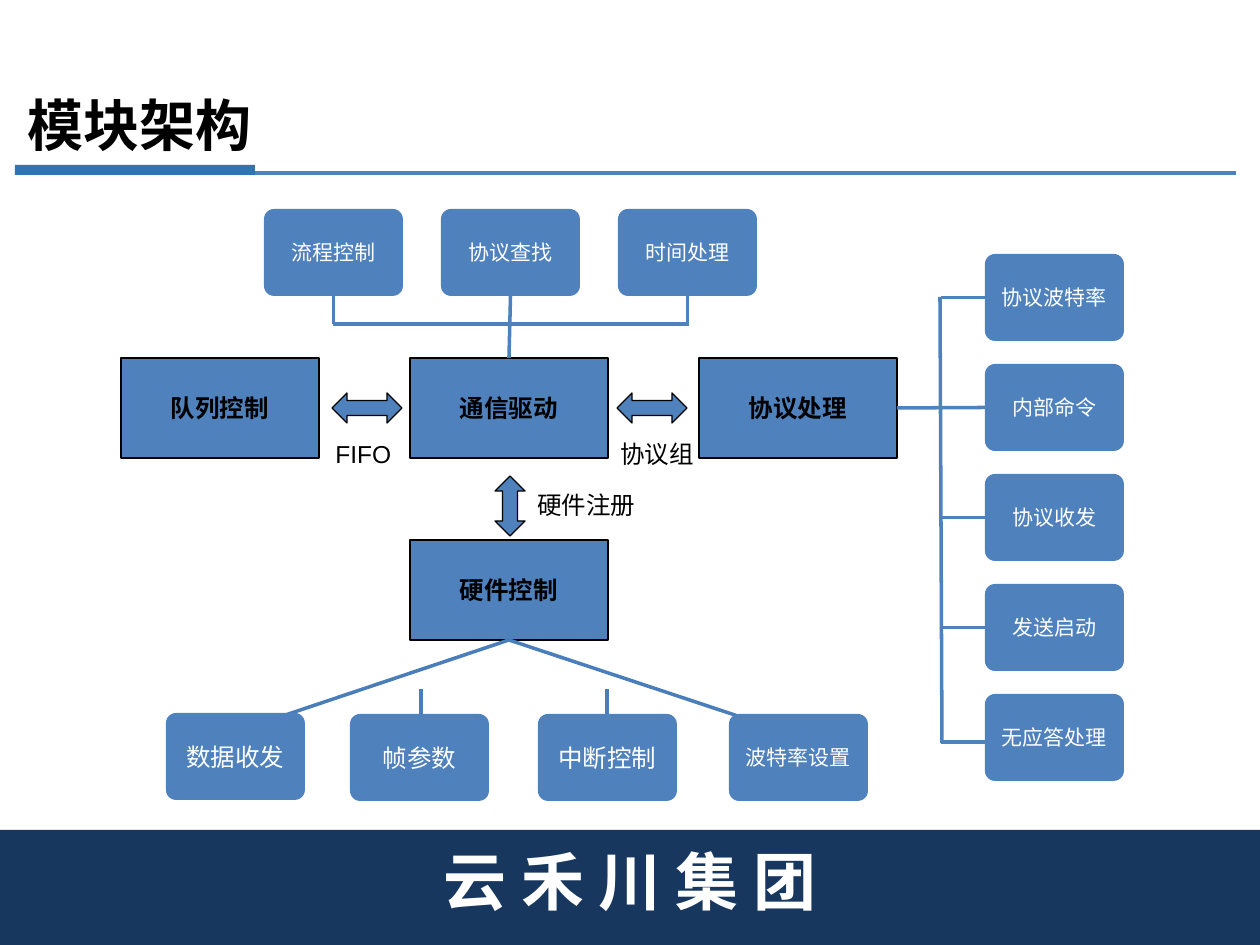
"""Build the module architecture slide."""
import pptx
import pptx.util
import pptx.dml.color
import pptx.enum.shapes
import pptx.enum.text
import pptx.oxml

RGB = pptx.dml.color.RGBColor
SHAPE = pptx.enum.shapes.MSO_SHAPE
ALIGN = pptx.enum.text.PP_ALIGN
ANCHOR = pptx.enum.text.MSO_ANCHOR

BLUE = RGB(0x4F, 0x81, 0xBD)
FAN_BLUE = RGB(0x4A, 0x7E, 0xBB)
ACCENT = RGB(0x2E, 0x75, 0xB5)
NAVY = RGB(0x17, 0x37, 0x5E)
BLACK = RGB(0, 0, 0)
WHITE = RGB(255, 255, 255)

TITLE = "模块架构"
FOOTER = "云 禾 川 集 团"
BLOCKS = [
    ("队列控制", 121, 358),
    ("通信驱动", 410, 358),
    ("协议处理", 699, 358),
    ("硬件控制", 410, 540),
]
DRIVER_PARTS = ["流程控制", "协议查找", "时间处理"]
PROTOCOL_PARTS = ["协议波特率", "内部命令", "协议收发", "发送启动", "无应答处理"]
HARDWARE_PARTS = [
    ("数据收发", 166, 713, 14),
    ("帧参数", 350, 714, 14),
    ("中断控制", 538, 714, 14),
    ("波特率设置", 729, 714, 12),
]
ARROWS = [
    (SHAPE.LEFT_RIGHT_ARROW, 332, 393, 70, 30),
    (SHAPE.LEFT_RIGHT_ARROW, 617, 393, 70, 30),
    (SHAPE.UP_DOWN_ARROW, 495, 476, 30, 60),
]
LABELS = [
    ("FIFO", 323, 433, 84),
    ("协议组", 608, 433, 106),
    ("硬件注册", 525, 484, 130),
]

BLOCK_W, BLOCK_H = 198, 100
PART_W, PART_H = 139, 87
TOP, LEFT, BOTTOM, RIGHT = range(4)

prs = pptx.Presentation()
SCALE = 9144000 / 1260


def px(n):
    return pptx.util.Emu(round(n * SCALE))


prs.slide_width, prs.slide_height = px(1260), px(945)
slide = prs.slides.add_slide(prs.slide_layouts[6])


def write(s, text, size, color, font="Arial", bold=False, align=ALIGN.CENTER):
    tf = s.text_frame
    p = tf.paragraphs[0]
    p.text = text
    p.alignment = align
    p.font.size = pptx.util.Pt(size)
    p.font.name = font
    p.font.bold = bold
    p.font.color.rgb = color
    return tf


def add_shape(kind, x, y, w, h, fill=BLUE, outlined=False):
    s = slide.shapes.add_shape(kind, px(x), px(y), px(w), px(h))
    s.shadow.inherit = False
    s.fill.solid()
    s.fill.fore_color.rgb = fill
    if outlined:
        s.line.color.rgb = BLACK
        s.line.width = pptx.util.Pt(0.75)
    else:
        s.line.fill.background()
    s.text_frame.vertical_anchor = ANCHOR.MIDDLE
    return s


def add_part(text, x, y, size=12):
    s = add_shape(SHAPE.ROUNDED_RECTANGLE, x, y, PART_W, PART_H)
    s.adjustments[0] = 0.117
    write(s, text, size, WHITE, "Calibri")
    return s


def add_text(text, x, y, w, h, size, bold=False):
    s = slide.shapes.add_textbox(px(x), px(y), px(w), px(h))
    tf = write(s, text, size, BLACK, bold=bold, align=ALIGN.LEFT)
    tf.word_wrap = True
    tf.auto_size = pptx.enum.text.MSO_AUTO_SIZE.SHAPE_TO_FIT_TEXT


def add_line(x1, y1, x2, y2, color=BLUE, begin=None, end=None):
    c = slide.shapes.add_connector(
        pptx.enum.shapes.MSO_CONNECTOR.STRAIGHT, px(x1), px(y1), px(x2), px(y2))
    c.line.color.rgb = color
    c.line.width = pptx.util.Pt(2)
    sp_pr = c._element.spPr
    sp_pr.append(pptx.oxml.parse_xml(
        '<a:effectLst xmlns:a="http://schemas.openxmlformats.org/drawingml/2006/main"/>'))
    if begin:
        c.begin_connect(*begin)
    if end:
        c.end_connect(*end)


footer = add_shape(SHAPE.RECTANGLE, 0, 830, 1260, 115, NAVY)
tf = write(footer, FOOTER, 36, WHITE, bold=True)
tf.paragraphs[0].line_spacing = 0.8
add_text(TITLE, 15, 84, 262, 81, 32, bold=True)
add_shape(SHAPE.RECTANGLE, 15, 165, 240, 10, ACCENT)
add_line(255, 173, 1236, 173)

blocks = []
for text, x, y in BLOCKS:
    s = add_shape(SHAPE.RECTANGLE, x, y, BLOCK_W, BLOCK_H, outlined=True)
    write(s, text, 14, BLACK, bold=True)
    blocks.append(s)
queue, driver, protocol, hardware = blocks

for arrow in ARROWS:
    add_shape(*arrow, outlined=True)

for x in (795, 226):
    add_line(509, 640, x, 735, FAN_BLUE, begin=(hardware, BOTTOM))
for x in (421, 607):
    add_line(x, 689, x, 735, FAN_BLUE)
for part in HARDWARE_PARTS:
    add_part(*part)

add_line(940, 297, 942, 743)
for i, text in enumerate(PROTOCOL_PARTS):
    y = 254 + 110 * i
    s = add_part(text, 985, y)
    mid = y + PART_H / 2
    if text == "内部命令":
        add_line(897, 408, 985, mid, begin=(protocol, RIGHT), end=(s, LEFT))
    elif text == "无应答处理":
        add_line(985, 742, 941, 742)
    else:
        add_line(985, mid, 941, mid, begin=(s, LEFT))

add_line(333, 324, 689, 324)
for i, text in enumerate(DRIVER_PARTS):
    x = 264 + 177 * i
    s = add_part(text, x, 209)
    mid = x + PART_W / 2
    if text == "协议查找":
        add_line(509, 358, mid, 296, begin=(driver, TOP), end=(s, BOTTOM))
    else:
        add_line(mid, 296, mid, 324, begin=(s, BOTTOM))

for text, x, y, w in LABELS:
    add_text(text, x, y, w, 43, 14)

prs.save("out.pptx")
